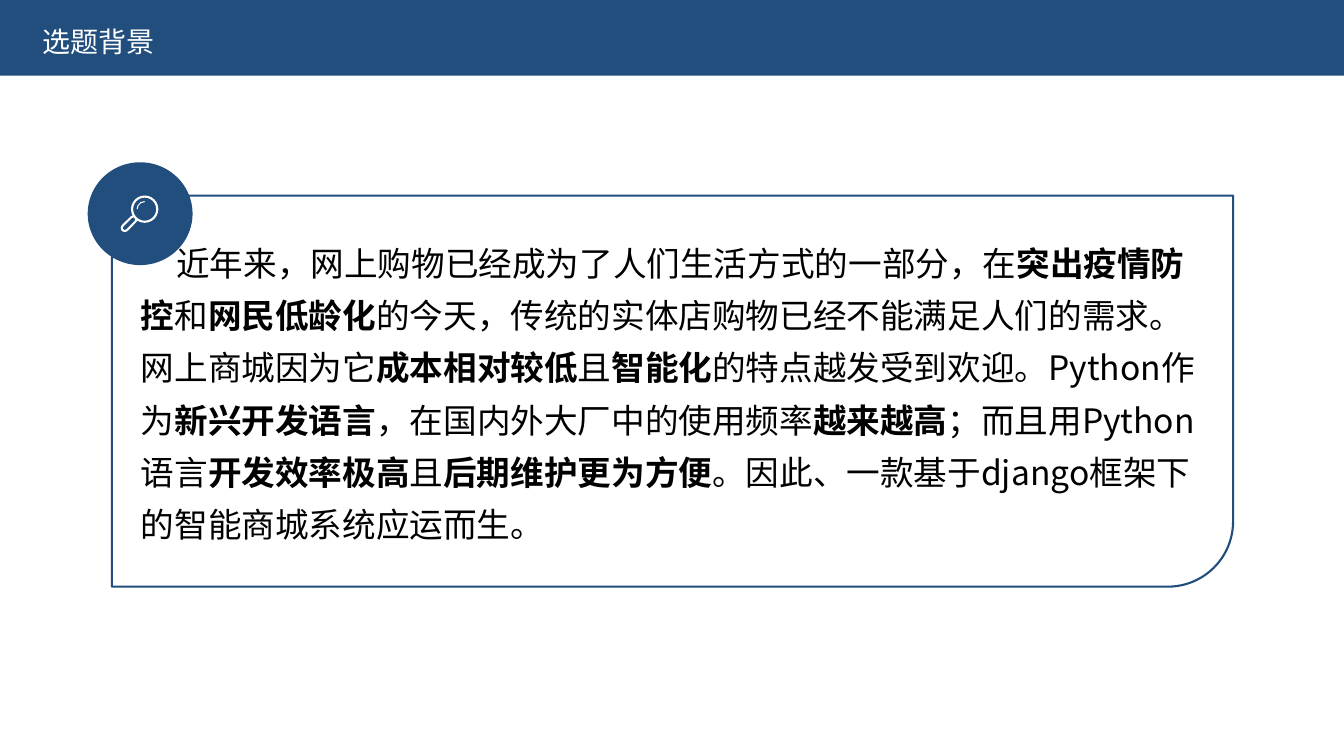
from pptx import Presentation
from pptx.dml.color import RGBColor
from pptx.enum import shapes, text
from pptx.oxml.ns import qn
from pptx.util import Inches, Pt

FONT = "Noto Sans CJK SC"
NAVY, WHITE, BLACK = "214E7D", "FFFFFF", "000000"
KIND = shapes.MSO_SHAPE

prs = Presentation()
prs.slide_width, prs.slide_height = Inches(13.33), Inches(7.5)
s = prs.slides.add_slide(prs.slide_layouts[6])


def add_shape(kind, x, y, w, h, fill=None, line=None, line_pt=1.5):
    sp = s.shapes.add_shape(kind, Inches(x), Inches(y), Inches(w), Inches(h))
    sp.shadow.inherit = False
    if fill:
        sp.fill.solid()
        sp.fill.fore_color.rgb = RGBColor.from_string(fill)
    else:
        sp.fill.background()
    if line:
        sp.line.color.rgb = RGBColor.from_string(line)
        sp.line.width = Pt(line_pt)
    else:
        sp.line.fill.background()
    return sp


def add_run(p, words, size, color, bold=False):
    r = p.add_run()
    r.text = words
    r.font.name, r.font.size, r.font.bold = FONT, Pt(size), bold
    r.font.color.rgb = RGBColor.from_string(color)
    ea = r.font._element.makeelement(qn("a:ea"), {"typeface": FONT})
    r.font._element.find(qn("a:latin")).addnext(ea)


# Body panel: plain and bold runs alternate
background = [
    "近年来，网上购物已经成为了人们生活方式的一部分，在", "突出疫情防控",
    "和", "网民低龄化",
    "的今天，传统的实体店购物已经不能满足人们的需求。网上商城因为它", "成本相对较低",
    "且", "智能化",
    "的特点越发受到欢迎。Python作为", "新兴开发语言",
    "，在国内外大厂中的使用频率", "越来越高",
    "；而且用Python语言", "开发效率极高",
    "且", "后期维护更为方便",
    "。因此、一款基于django框架下的智能商城系统应运而生。",
]
panel = add_shape(KIND.ROUND_2_DIAG_RECTANGLE, 1.11, 1.94, 11.12, 3.88, line=NAVY)
tf = panel.text_frame
tf.word_wrap = True
tf.vertical_anchor = text.MSO_ANCHOR.MIDDLE
tf.margin_bottom = Inches(0.12)
p = tf.paragraphs[0]
p.alignment = text.PP_ALIGN.LEFT
p.line_spacing = Pt(37.4)
p._p.get_or_add_pPr().set("indent", str(Inches(0.35)))
for i, words in enumerate(background):
    add_run(p, words, 24, BLACK, bold=i % 2 == 1)

# Title bar
add_shape(KIND.RECTANGLE, 0, 0, 13.33, 0.75, fill=NAVY)
title = s.shapes.add_textbox(Inches(0.32), Inches(0.19), Inches(1.5), Inches(0.44))
tf = title.text_frame
tf.word_wrap = True
tf.vertical_anchor = text.MSO_ANCHOR.MIDDLE
p = tf.paragraphs[0]
p.alignment = text.PP_ALIGN.JUSTIFY
add_run(p, "选题背景", 20, WHITE)

# Magnifier badge
add_shape(KIND.OVAL, 0.87, 1.61, 1.04, 1.02, fill=NAVY)
handle = add_shape(KIND.ROUNDED_RECTANGLE, 1.25, 2.13, 0.06, 0.18, line=WHITE)
handle.adjustments[0] = 0.5
handle.rotation = 45
add_shape(KIND.OVAL, 1.31, 1.95, 0.25, 0.25, fill=NAVY, line=WHITE)
glint = add_shape(KIND.ARC, 1.36, 2, 0.15, 0.15, line=WHITE, line_pt=0.75)
glint.adjustments[0] = 108  # 180 degrees, in units of 100000/60000 degree
glint.adjustments[1] = 162  # 270 degrees

prs.save("out.pptx")
